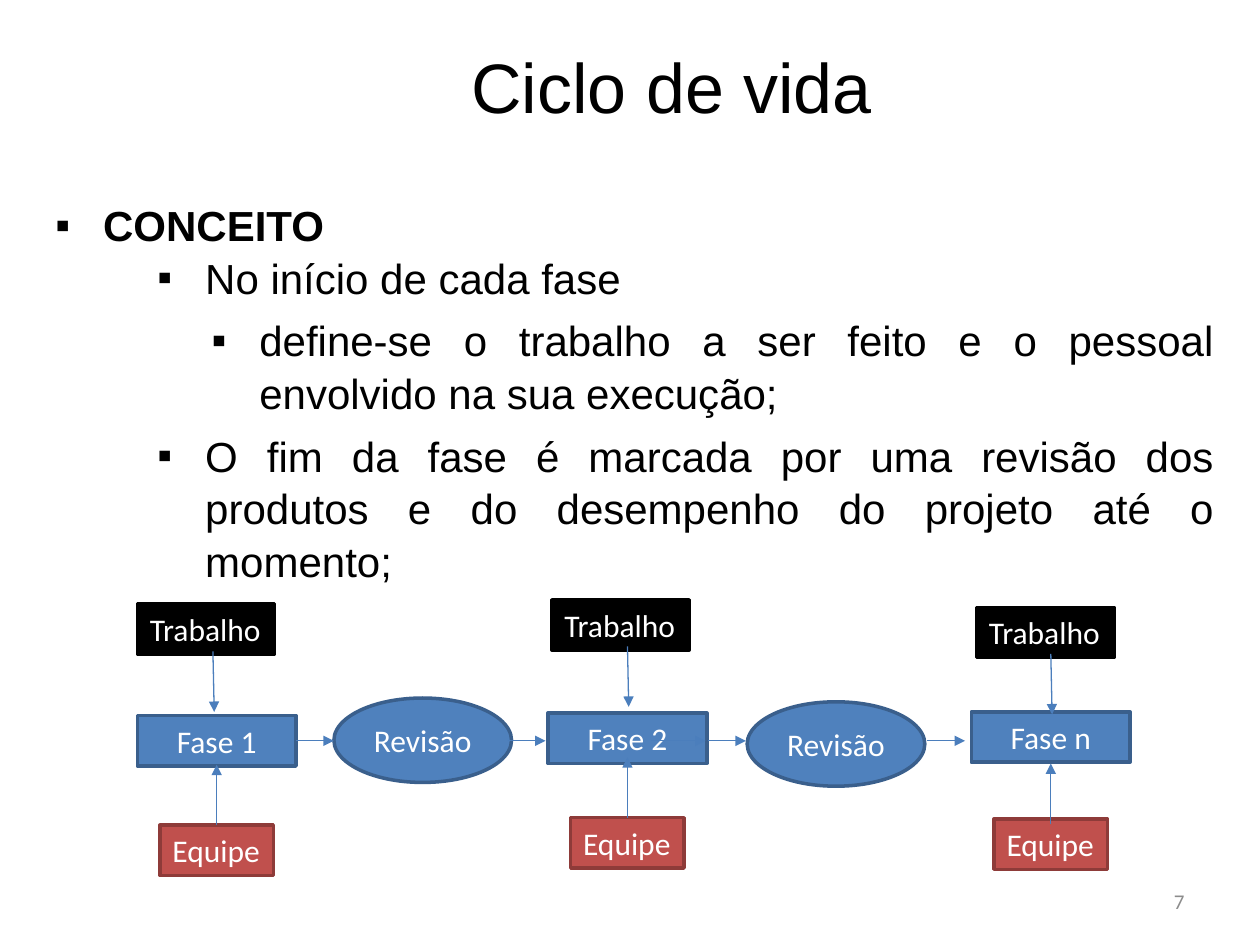
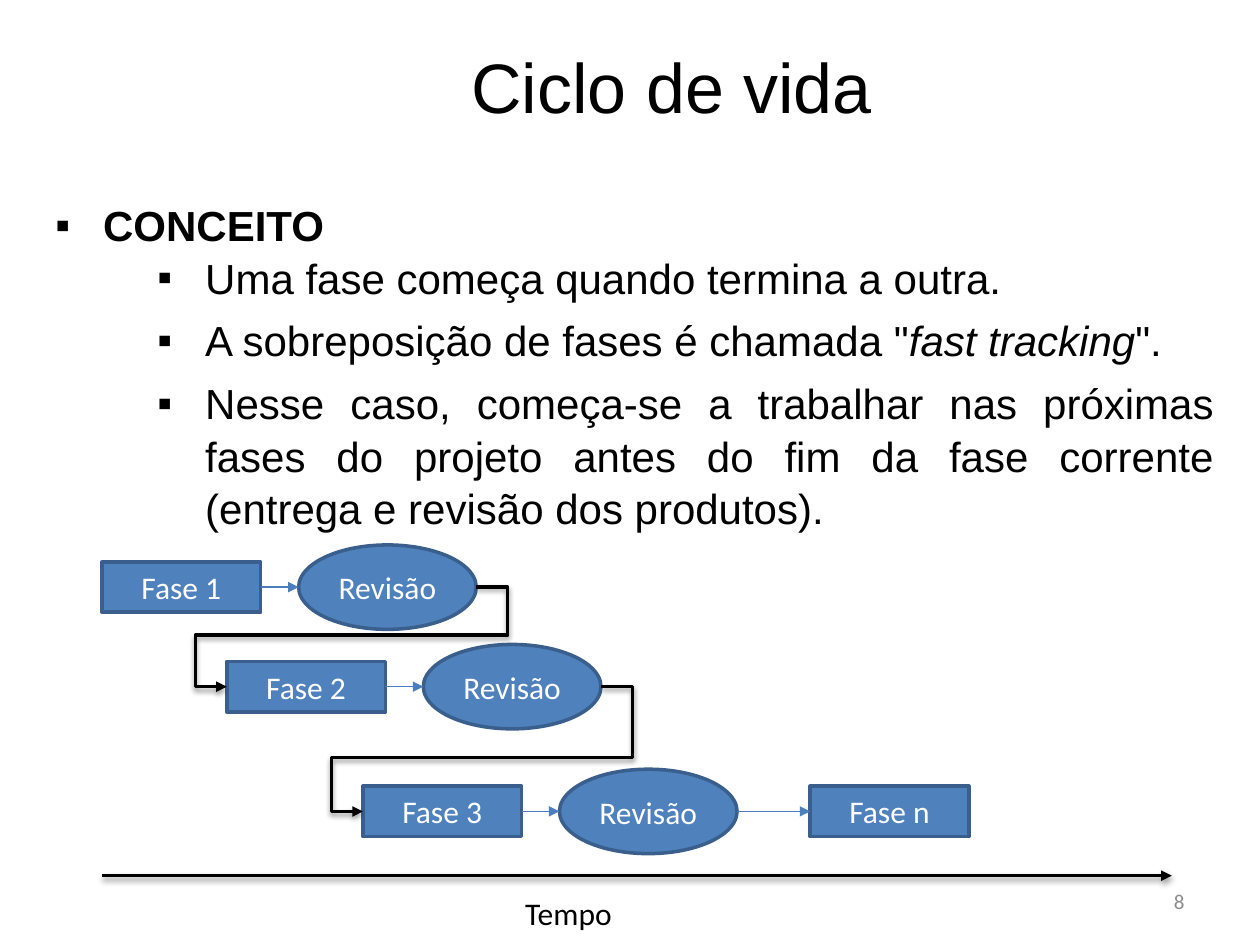
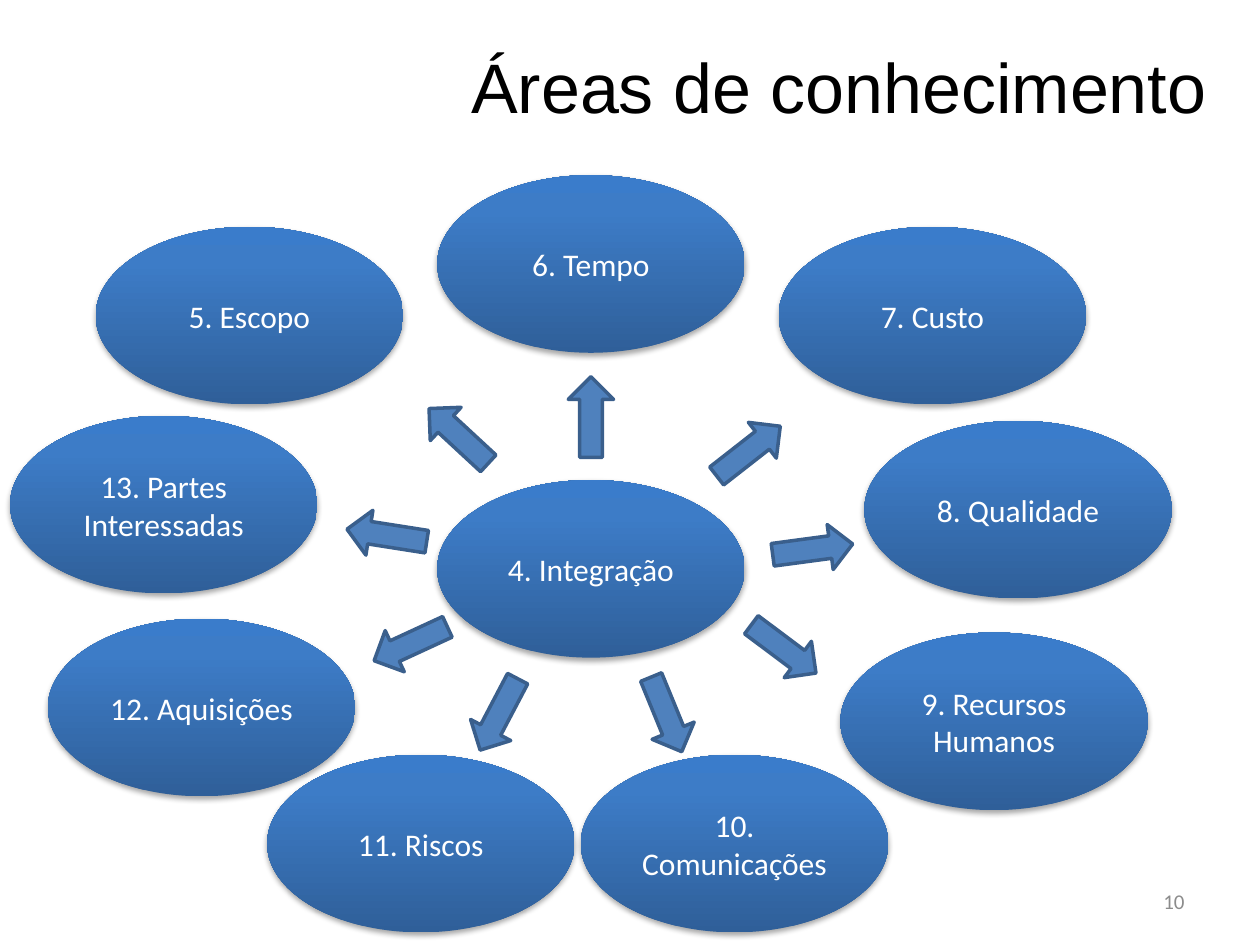
from dataclasses import dataclass
from typing import NamedTuple

from pptx import Presentation
from pptx import util as u
from pptx.dml.color import RGBColor
from pptx.enum import shapes, text
from pptx.oxml import parse_xml
from pptx.oxml.ns import nsdecls, qn

BLACK = RGBColor(0x00, 0x00, 0x00)
WHITE = RGBColor(0xFF, 0xFF, 0xFF)
GREY = RGBColor(0x8C, 0x8C, 0x8C)
BLUE = RGBColor(0x4F, 0x81, 0xBD)
BLUE_EDGE = RGBColor(0x3A, 0x5F, 0x8C)
BLUE_ARROW = RGBColor(0x4B, 0x7E, 0xBC)
RED = RGBColor(0xC0, 0x50, 0x4D)
RED_EDGE = RGBColor(0x8E, 0x3B, 0x39)
GRADIENT = (
    (0, RGBColor(0x2F, 0x5F, 0x99)),
    (80, RGBColor(0x3D, 0x7C, 0xC7)),
    (100, RGBColor(0x3A, 0x7C, 0xCB)),
)

RECT = shapes.MSO_SHAPE.RECTANGLE
OVAL = shapes.MSO_SHAPE.OVAL
STRAIGHT = shapes.MSO_CONNECTOR.STRAIGHT
ELBOW = shapes.MSO_CONNECTOR.ELBOW
LEFT, CENTER, RIGHT, JUSTIFY = (
    text.PP_ALIGN.LEFT, text.PP_ALIGN.CENTER, text.PP_ALIGN.RIGHT, text.PP_ALIGN.JUSTIFY)
TOP, MIDDLE = text.MSO_ANCHOR.TOP, text.MSO_ANCHOR.MIDDLE

BULLET_MARGINS = (0.38, 1.19, 1.62)
HANGING = 0.38


class Topic(NamedTuple):
    level: int
    words: str


class Step(NamedTuple):
    label: str
    left: float
    top: float


class Link(NamedTuple):
    start: tuple[float, float]
    end: tuple[float, float]


class Area(NamedTuple):
    label: str
    left: float
    top: float
    arrow_left: float
    arrow_top: float
    rotation: float


@dataclass(frozen=True)
class Style:
    kind: shapes.MSO_SHAPE
    width: float
    height: float
    fill: RGBColor = BLUE
    edge: RGBColor = BLUE_EDGE
    align: text.PP_ALIGN = CENTER
    anchor: text.MSO_ANCHOR = MIDDLE
    wrap: bool = True


PHASE = Style(RECT, 1.26, 0.4, anchor=TOP)
WORK = Style(RECT, 1.09, 0.4, BLACK, BLACK, LEFT, TOP, False)
TEAM = Style(RECT, 0.9, 0.4, RED, RED_EDGE, LEFT, TOP, False)
REVIEW = Style(OVAL, 1.41, 0.67)
AREA = Style(OVAL, 2.44, 1.41)
OUTWARD = Style(shapes.MSO_SHAPE.DOWN_ARROW, 0.36, 0.64)


def write(paragraph, words: str, *, size=18, color=WHITE, font="Calibri",
          bold=False, align=LEFT) -> None:
    paragraph.alignment = align
    for index, part in enumerate(words.split("*")):
        run = paragraph.add_run()
        run.text = part
        run.font.size = u.Pt(size)
        run.font.name = font
        run.font.bold = bold
        run.font.italic = index % 2 == 1
        run.font.color.rgb = color


def add_label(slide, words: str, left, top, width, height, *, anchor=TOP, wrap=True, **look):
    frame = slide.shapes.add_textbox(
        u.Inches(left), u.Inches(top), u.Inches(width), u.Inches(height)).text_frame
    frame.word_wrap = wrap
    frame.vertical_anchor = anchor
    write(frame.paragraphs[0], words, **look)


def add_slide(deck, heading: str, number: int):
    slide = deck.slides.add_slide(deck.slide_layouts[5])
    title = slide.shapes.title
    title.left, title.top, title.width, title.height = map(u.Inches, (3.64, 0.05, 6.08, 1.25))
    title.text_frame.auto_size = text.MSO_AUTO_SIZE.NONE
    title.text_frame.vertical_anchor = MIDDLE
    write(title.text_frame.paragraphs[0], heading,
          size=40, color=BLACK, font="Arial", align=JUSTIFY)
    add_label(slide, str(number), 7.17, 6.95, 2.33, 0.4,
              anchor=MIDDLE, size=12, color=GREY, align=RIGHT)
    return slide


def add_topics(slide, topics: list[Topic]) -> None:
    frame = slide.shapes.add_textbox(
        u.Inches(0.34), u.Inches(1.52), u.Inches(9.39), u.Inches(3.06)).text_frame
    frame.word_wrap = True
    for index, topic in enumerate(topics):
        paragraph = frame.add_paragraph() if index else frame.paragraphs[0]
        paragraph.level = topic.level
        paragraph.line_spacing = 1.04
        paragraph.space_after = u.Pt(6 if topic.level else 0)
        write(paragraph, topic.words, size=24, color=BLACK, font="Arial",
              bold=topic.level == 0, align=JUSTIFY)
        properties = paragraph._p.get_or_add_pPr()
        properties.set("marL", str(u.Inches(BULLET_MARGINS[topic.level])))
        properties.set("indent", str(-u.Inches(HANGING)))
        properties.append(parse_xml(f'<a:buFont {nsdecls("a")} typeface="Arial"/>'))
        properties.append(parse_xml(f'<a:buChar {nsdecls("a")} char="▪"/>'))


def shadow_xml(distance: float, opacity: int) -> str:
    return (f'<a:outerShdw {nsdecls("a")} blurRad="{u.Pt(3.1)}" dist="{u.Pt(distance)}" '
            f'dir="5400000" rotWithShape="0"><a:srgbClr val="{BLACK}">'
            f'<a:alpha val="{opacity * 1000}"/></a:srgbClr></a:outerShdw>')


def add_node(slide, style: Style, left: float, top: float, label: str = ""):
    node = slide.shapes.add_shape(
        style.kind, u.Inches(left), u.Inches(top), u.Inches(style.width), u.Inches(style.height))
    node.shadow.inherit = False
    node.fill.solid()
    node.fill.fore_color.rgb = style.fill
    node.line.color.rgb = style.edge
    node.line.width = u.Pt(2)
    if label:
        node.text_frame.word_wrap = style.wrap
        node.text_frame.vertical_anchor = style.anchor
        write(node.text_frame.paragraphs[0], label, align=style.align)
    return node


def add_area(slide, label: str, left: float, top: float) -> None:
    node = add_node(slide, AREA, left, top, label)
    node.line.fill.background()
    properties = node._element.spPr
    stops = "".join(f'<a:gs pos="{place * 1000}"><a:srgbClr val="{color}"/></a:gs>'
                    for place, color in GRADIENT)
    gradient = parse_xml(f'<a:gradFill {nsdecls("a")} rotWithShape="1"><a:gsLst>{stops}</a:gsLst>'
                         '<a:lin ang="16200000" scaled="0"/></a:gradFill>')
    properties.replace(properties.find(qn("a:solidFill")), gradient)
    properties.find(qn("a:effectLst")).append(parse_xml(shadow_xml(1.8, 35)))


def add_arrow(slide, link: Link, kind=STRAIGHT, *, color=BLUE_ARROW, width=0.75,
              shadow=False, bends: tuple[float, ...] = ()) -> None:
    arrow = slide.shapes.add_connector(kind, *map(u.Inches, link.start + link.end))
    arrow.line.color.rgb = color
    arrow.line.width = u.Pt(width)
    arrow.line._get_or_add_ln().append(
        parse_xml(f'<a:tailEnd {nsdecls("a")} type="triangle"/>'))
    properties = arrow._element.spPr
    effect = shadow_xml(1.6, 38) if shadow else ""
    properties.append(parse_xml(f'<a:effectLst {nsdecls("a")}>{effect}</a:effectLst>'))
    if bends:
        guides = "".join(f'<a:gd name="adj{n}" fmla="val {round(bend * 100000)}"/>'
                         for n, bend in enumerate(bends, 1))
        properties.replace(properties.find(qn("a:prstGeom")), parse_xml(
            f'<a:prstGeom {nsdecls("a")} prst="bentConnector5">'
            f'<a:avLst>{guides}</a:avLst></a:prstGeom>'))


def build_phase_inputs(deck) -> None:
    slide = add_slide(deck, "Ciclo de vida", 7)
    add_topics(slide, [
        Topic(0, "CONCEITO"),
        Topic(1, "No início de cada fase"),
        Topic(2, "define-se o trabalho a ser feito e o pessoal envolvido na sua execução;"),
        Topic(1, "O fim da fase é marcada por uma revisão dos produtos e do desempenho "
                 "do projeto até o momento;"),
    ])
    steps = (
        (PHASE, [Step("Fase 1", 1.09, 5.68), Step("Fase 2", 4.35, 5.66),
                 Step("Fase n", 7.71, 5.65)]),
        (WORK, [Step("Trabalho", 1.09, 4.79), Step("Trabalho", 4.38, 4.76),
                Step("Trabalho", 7.75, 4.82)]),
        (TEAM, [Step("Equipe", 1.27, 6.55), Step("Equipe", 4.53, 6.49),
                Step("Equipe", 7.89, 6.5)]),
    )
    for style, row in steps:
        for step in row:
            add_node(slide, style, step.left, step.top, step.label)
    for x, team_y, work_x, work_y in (
            (1.72, 6.55, 1.69, 5.17), (4.98, 6.49, 4.98, 5.13), (8.34, 6.54, 8.34, 5.19)):
        add_arrow(slide, Link((x, team_y), (x, team_y - 0.48)))
        add_arrow(slide, Link((work_x, work_y), (work_x + 0.01, work_y + 0.48)))
    for left, top in ((2.65, 5.54), (5.93, 5.57)):
        add_node(slide, REVIEW, left, top, "Revisão")
    for start, end in ((2.35, 2.65), (5.17, 5.6), (4.03, 4.33), (5.62, 5.92), (7.36, 7.66)):
        add_arrow(slide, Link((start, 5.88), (end, 5.88)), ELBOW)


def build_fast_tracking(deck) -> None:
    slide = add_slide(deck, "Ciclo de vida", 8)
    add_topics(slide, [
        Topic(0, "CONCEITO"),
        Topic(1, "Uma fase começa quando termina a outra."),
        Topic(1, 'A sobreposição de fases é chamada "*fast tracking*".'),
        Topic(1, "Nesse caso, começa-se a trabalhar nas próximas fases do projeto antes "
                 "do fim da fase corrente (entrega e revisão dos produtos)."),
    ])
    phases = [Step("Fase 1", 0.81, 4.46), Step("Fase 2", 1.8, 5.25), Step("Fase 3", 2.88, 6.24)]
    review_shift = PHASE.width + 0.3
    for phase in phases:
        middle = phase.top + PHASE.height / 2
        phase_end = phase.left + PHASE.width
        review_left = phase.left + review_shift
        add_node(slide, PHASE, phase.left, phase.top, phase.label)
        add_node(slide, REVIEW, review_left, middle - REVIEW.height / 2, "Revisão")
        add_arrow(slide, Link((phase_end, middle), (review_left, middle)), ELBOW)
    add_node(slide, PHASE, 6.43, 6.24, "Fase n")
    add_arrow(slide, Link((5.85, 6.44), (6.43, 6.44)), ELBOW)

    heavy = dict(color=BLACK, width=2, shadow=True)
    bends = ((-0.126, 0.483, 1.126), (-0.132, 0.568, 1.132))
    for before, after, bend in zip(phases, phases[1:], bends):
        start = (before.left + review_shift + REVIEW.width, before.top + PHASE.height / 2)
        end = (after.left, after.top + PHASE.height / 2)
        add_arrow(slide, Link(start, end), ELBOW, bends=bend, **heavy)
    add_arrow(slide, Link((0.81, 6.95), (9.3, 6.95)), **heavy)
    add_label(slide, "Tempo", 4.07, 7.05, 0.9, 0.4, wrap=False, color=BLACK)


def build_knowledge_areas(deck) -> None:
    slide = add_slide(deck, "Áreas de conhecimento", 10)
    areas = [
        Area("5. Escopo", 0.76, 1.8, 3.46, 3.14, 132.8),
        Area("6. Tempo", 3.47, 1.39, 4.51, 2.99, 180),
        Area("7. Custo", 6.18, 1.8, 5.76, 3.26, 232),
        Area("8. Qualidade", 6.86, 3.34, 6.27, 4.04, 262.4),
        Area("9. Recursos Humanos", 6.67, 5.02, 6.04, 4.83, 306.8),
        Area("10. Comunicações", 4.61, 5.99, 5.11, 5.35, 337.7),
        Area("11. Riscos", 2.12, 5.99, 3.78, 5.35, 27.7),
        Area("12. Aquisições", 0.38, 4.91, 3.08, 4.79, 65.2),
        Area("13. Partes Interessadas", 0.08, 3.3, 2.89, 3.93, 98.9),
    ]
    add_area(slide, "4. Integração", 3.47, 3.81)
    for area in areas:
        add_area(slide, area.label, area.left, area.top)
    for area in areas:
        add_node(slide, OUTWARD, area.arrow_left, area.arrow_top).rotation = area.rotation


def main() -> None:
    deck = Presentation()
    deck.slide_width, deck.slide_height = u.Inches(10), u.Inches(7.5)
    build_phase_inputs(deck)
    build_fast_tracking(deck)
    build_knowledge_areas(deck)
    deck.save("out.pptx")


if __name__ == "__main__":
    main()
